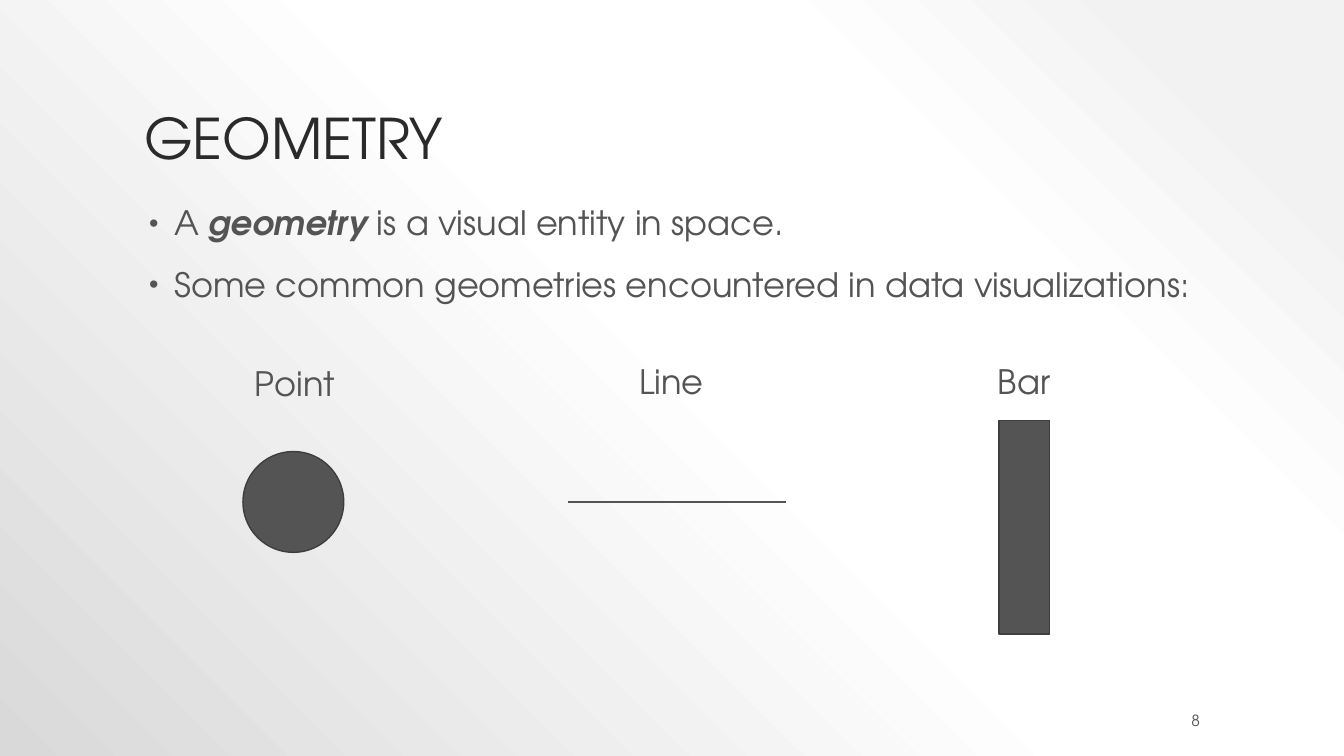
from pptx import Presentation
from pptx.dml.color import RGBColor
from pptx.enum.shapes import MSO_CONNECTOR as Connector, MSO_SHAPE as Shape
from pptx.enum.text import MSO_ANCHOR as Anchor, MSO_AUTO_SIZE as Fit, PP_ALIGN as Align
from pptx.oxml import parse_xml
from pptx.oxml.ns import nsdecls, qn
from pptx.util import Inches, Pt

COLORS = {"title": "2A2A2A", "text": "545454", "outline": "3E3E3E",
          "mist": "F2F2F2", "white": "FFFFFF", "silver": "D9D9D9"}
FONT = "TeX Gyre Adventor"
BACKGROUND_STOPS = [(10, "mist"), (28, "white"), (48, "white"), (100, "silver")]
BULLETS = [
    [("A ", {}), ("geometry ", {"bold": True, "italic": True}),
     ("is a visual entity in space.", {})],
    [("Some common geometries encountered in data visualizations:", {})],
]


def color(name):
    """Return the named colour."""
    return RGBColor.from_string(COLORS[name])


def apply_format(target, values):
    """Set every attribute in values on the target."""
    for name, value in values.items():
        setattr(target, name, value)


def place(item, box):
    """Move and size an item to a box given in inches."""
    for name, value in zip(("left", "top", "width", "height"), box):
        setattr(item, name, Inches(value))


def write(para, spans, size, ink="text", **layout):
    """Write formatted spans into a paragraph."""
    apply_format(para, layout)
    for text, extra in spans:
        span = para.add_run()
        span.text = text
        apply_format(span.font, {"name": FONT, "size": Pt(size), "bold": False,
                                 "italic": False, **extra})
        span.font.color.rgb = color(ink)


def add_bullet(para):
    """Give a paragraph a hanging round bullet."""
    properties = para._p.get_or_add_pPr()
    properties.set("marL", str(Inches(0.3)))
    properties.set("indent", str(Inches(-0.25)))
    for tag in (f'<a:buClr {nsdecls("a")}><a:srgbClr val="{COLORS["text"]}"/></a:buClr>',
                f'<a:buSzPct {nsdecls("a")} val="80000"/>',
                f'<a:buFont {nsdecls("a")} typeface="Arial"/>',
                f'<a:buChar {nsdecls("a")} char="•"/>'):
        properties.append(parse_xml(tag))


def paint_background(page):
    """Fill the page with a gradient spreading from the top right corner."""
    page.background.fill.gradient()
    gradient = page._element.find(".//" + qn("a:gradFill"))
    stops = "".join(f'<a:gs pos="{position * 1000}"><a:srgbClr val="{COLORS[name]}"/></a:gs>'
                    for position, name in BACKGROUND_STOPS)
    gradient.getparent().replace(gradient, parse_xml(
        f'<a:gradFill {nsdecls("a")} rotWithShape="1"><a:gsLst>{stops}</a:gsLst>'
        '<a:path path="circle"><a:fillToRect l="100000" b="100000"/></a:path></a:gradFill>'))


def fill_title(page, box):
    """Fill the title placeholder."""
    title = page.shapes.title
    place(title, box)
    apply_format(title.text_frame, {"vertical_anchor": Anchor.BOTTOM, "auto_size": Fit.NONE})
    write(title.text_frame.paragraphs[0], [("GEOMETRY", {})], 40, "title",
          alignment=Align.LEFT, line_spacing=0.9)


def fill_body(page, box):
    """Fill the body placeholder with the bullet list."""
    body = page.placeholders[1]
    place(body, box)
    frame = body.text_frame
    apply_format(frame, {"vertical_anchor": Anchor.TOP, "auto_size": Fit.NONE})
    for index, spans in enumerate(BULLETS):
        para = frame.add_paragraph() if index else frame.paragraphs[0]
        write(para, spans, 24, line_spacing=0.9, space_before=Pt(18))
        add_bullet(para)


def add_label(page, text, box):
    """Add the name of a geometry."""
    label = page.shapes.add_textbox(*map(Inches, box))
    apply_format(label.text_frame, {"word_wrap": False, "auto_size": Fit.SHAPE_TO_FIT_TEXT})
    write(label.text_frame.paragraphs[0], [(text, {})], 24, line_spacing=0.9)


def add_solid(page, kind, box):
    """Add a filled geometry."""
    solid = page.shapes.add_shape(kind, *map(Inches, box))
    solid.shadow.inherit = False
    solid.fill.solid()
    solid.fill.fore_color.rgb = color("text")
    solid.line.color.rgb = color("outline")
    solid.line.width = Pt(1)


def add_rule(page, left, y, width):
    """Add a level straight line."""
    rule = page.shapes.add_connector(Connector.STRAIGHT, *map(Inches, (left, y, left + width, y)))
    rule.line.color.rgb = color("text")
    rule.line.width = Pt(1)
    rule._element.spPr.append(parse_xml(f'<a:effectLst {nsdecls("a")}/>'))


def add_geometries(page, box):
    """Show a point, a line and a bar under their names."""
    left, top, width, height = box
    middle = top + 1.4
    add_solid(page, Shape.OVAL, (left, middle - 0.5, 1, 1))
    add_rule(page, left + 3.22, middle, 2.17)
    add_solid(page, Shape.RECTANGLE, (left + width - 0.5, top + height - 2.12, 0.5, 2.12))
    for text, offset, drop, span in (("Point", 0.02, 0.02, 1.01), ("Line", 3.83, 0, 0.85),
                                     ("Bar", 7.39, 0, 0.73)):
        add_label(page, text, (left + offset, top + drop, span, 0.46))


def add_page_number(page, box):
    """Add the page number at the lower right."""
    number = page.shapes.add_textbox(*map(Inches, box))
    apply_format(number.text_frame, {"word_wrap": True, "vertical_anchor": Anchor.MIDDLE})
    write(number.text_frame.paragraphs[0], [("8", {})], 11, alignment=Align.RIGHT)


def main():
    """Build and save the deck."""
    deck = Presentation()
    apply_format(deck, {"slide_width": Inches(13.33), "slide_height": Inches(7.5)})
    page = deck.slides.add_slide(deck.slide_layouts[1])
    paint_background(page)
    fill_title(page, (1.33, 0.3, 10.67, 1.45))
    fill_body(page, (1.33, 2, 10.67, 4.75))
    add_geometries(page, (2.41, 3.58, 8, 2.71))
    add_page_number(page, (10.75, 7.05, 1.25, 0.2))
    deck.save("out.pptx")


if __name__ == "__main__":
    main()
